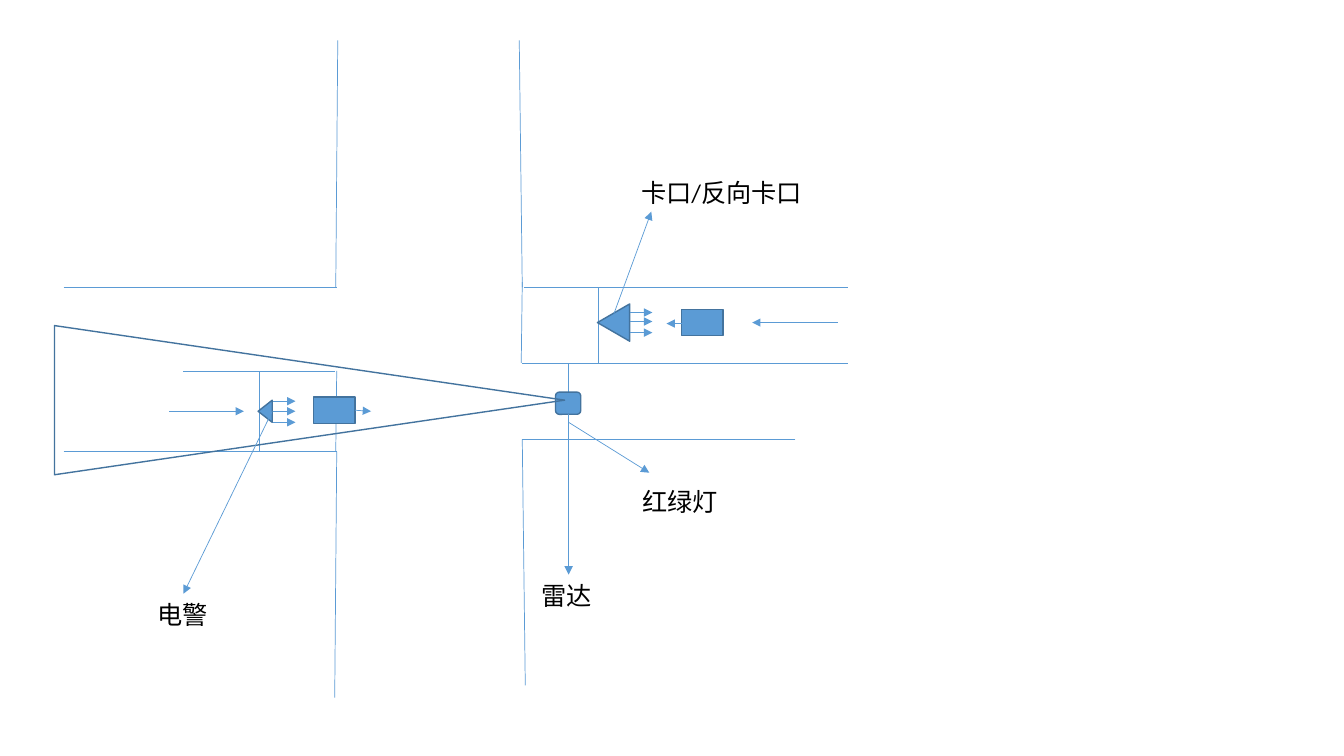
"""Draw a road junction with its cameras, signal light and radar."""
from pptx import Presentation, util as u
from pptx.dml.color import RGBColor
from pptx.enum import shapes, text
from pptx.oxml.ns import qn
from lxml import etree

BLUE = RGBColor(0x5B, 0x9B, 0xD5)
EDGE = RGBColor(0x43, 0x73, 0x9E)
BLACK = RGBColor(0, 0, 0)
KIND = shapes.MSO_SHAPE


def write(frame, words, size=18, font="Calibri", color=BLACK):
    """Put formatted text in a frame."""
    run = frame.paragraphs[0].add_run()
    run.text = words
    run.font.size, run.font.name = u.Pt(size), font
    run.font.color.rgb = color


class Sketch:
    """Hold the style and the current slide."""

    def __init__(self, slide, thin=0.5, bold=1):
        """Keep the slide and the line widths."""
        self.items = slide.shapes
        self.thin, self.bold = u.Pt(thin), u.Pt(bold)

    def line(self, *ends, tip=False):
        """Draw a thin line from x, y to x, y."""
        line = self.items.add_connector(
            shapes.MSO_CONNECTOR.STRAIGHT, *map(u.Inches, ends))
        line.line.color.rgb, line.line.width = BLUE, self.thin
        if tip:
            etree.SubElement(line.line._get_or_add_ln(),
                             qn("a:tailEnd"), type="triangle")
        etree.SubElement(line._element.spPr, qn("a:effectLst"))

    def shape(self, kind, *box, turn=0, fill=True):
        """Draw a preset shape, filled or hollow."""
        shape = self.items.add_shape(kind, *map(u.Inches, box))
        shape.rotation = turn
        shape.shadow.inherit = False
        if fill:
            shape.fill.solid()
            shape.fill.fore_color.rgb = BLUE
        else:
            shape.fill.background()
        shape.line.color.rgb, shape.line.width = EDGE, self.bold

    def label(self, words, left, top, width):
        """Add a text label."""
        box = self.items.add_textbox(*map(u.Inches, (left, top, width, 0.4)))
        box.text_frame.word_wrap = True
        box.text_frame.auto_size = text.MSO_AUTO_SIZE.SHAPE_TO_FIT_TEXT
        write(box.text_frame, words)

    def camera(self, kind, box, turn, left, rows):
        """Draw a camera with its row of view arrows."""
        self.shape(kind, *box, turn=turn)
        for row in rows:
            self.line(left, row, left + 0.22, row, tip=True)

    def car(self, left, top, *nose):
        """Draw a car and the arrow of its heading."""
        self.shape(KIND.RECTANGLE, left, top, 0.41, 0.26)
        self.line(*nose, tip=True)


deck = Presentation()
deck.slide_width, deck.slide_height = u.Inches(13.33), u.Inches(7.5)
art = Sketch(deck.slides.add_slide(deck.slide_layouts[6]))

ROADS = [
    (0.63, 2.85, 3.34, 2.85), (0.63, 4.48, 3.34, 4.48),
    (3.35, 0.4, 3.33, 2.85), (3.34, 4.48, 3.32, 6.92),
    (8.41, 2.85, 5.2, 2.85), (7.89, 4.36, 5.18, 4.36),
    (5.15, 0.4, 5.18, 2.85), (5.18, 4.36, 5.21, 6.8),
    (1.82, 3.68, 3.32, 3.68), (5.18, 3.6, 8.41, 3.6),
]
STOPS = [
    (3.33, 4.48, 3.34, 3.68), (5.17, 3.6, 5.18, 2.8),
    (2.57, 4.48, 2.57, 3.68), (5.93, 3.6, 5.93, 2.85),
    (5.64, 4.36, 5.64, 3.6),
]
for ends in ROADS + STOPS:
    art.line(*ends)

LANES = [(1.68, 4.08, 2.42, 4.08), (8.31, 3.2, 7.46, 3.2)]
for ends in LANES:
    art.line(*ends, tip=True)

art.camera(KIND.FLOWCHART_MERGE, (2.52, 4.01, 0.22, 0.14), 90,
           2.71, (3.98, 4.08, 4.19))
art.camera(KIND.ISOSCELES_TRIANGLE, (5.9, 3.04, 0.37, 0.32), 270,
           6.25, (3.1, 3.19, 3.3))
art.car(3.11, 3.94, 3.52, 4.07, 3.68, 4.08)
art.car(6.76, 3.07, 6.76, 3.21, 6.61, 3.21)
art.shape(KIND.ROUNDED_RECTANGLE, 5.51, 3.89, 0.25, 0.22)
art.shape(KIND.ISOSCELES_TRIANGLE, 2.33, 1.44, 1.48, 5.06,
          turn=90, fill=False)

NOTES = [
    ("电警", (1.46, 5.9, 0.71), (2.7, 4.08, 1.82, 5.89)),
    ("卡口/反向卡口", (6.26, 1.71, 1.81), (6.09, 3.11, 6.46, 2.1)),
    ("红绿灯", (6.27, 4.78, 0.96), (5.64, 4.19, 6.44, 4.69)),
    ("雷达", (5.27, 5.71, 0.71), (5.64, 4.11, 5.64, 5.7)),
]
for words, spot, ends in NOTES:
    art.label(words, *spot)
    art.line(*ends, tip=True)

deck.save("out.pptx")
